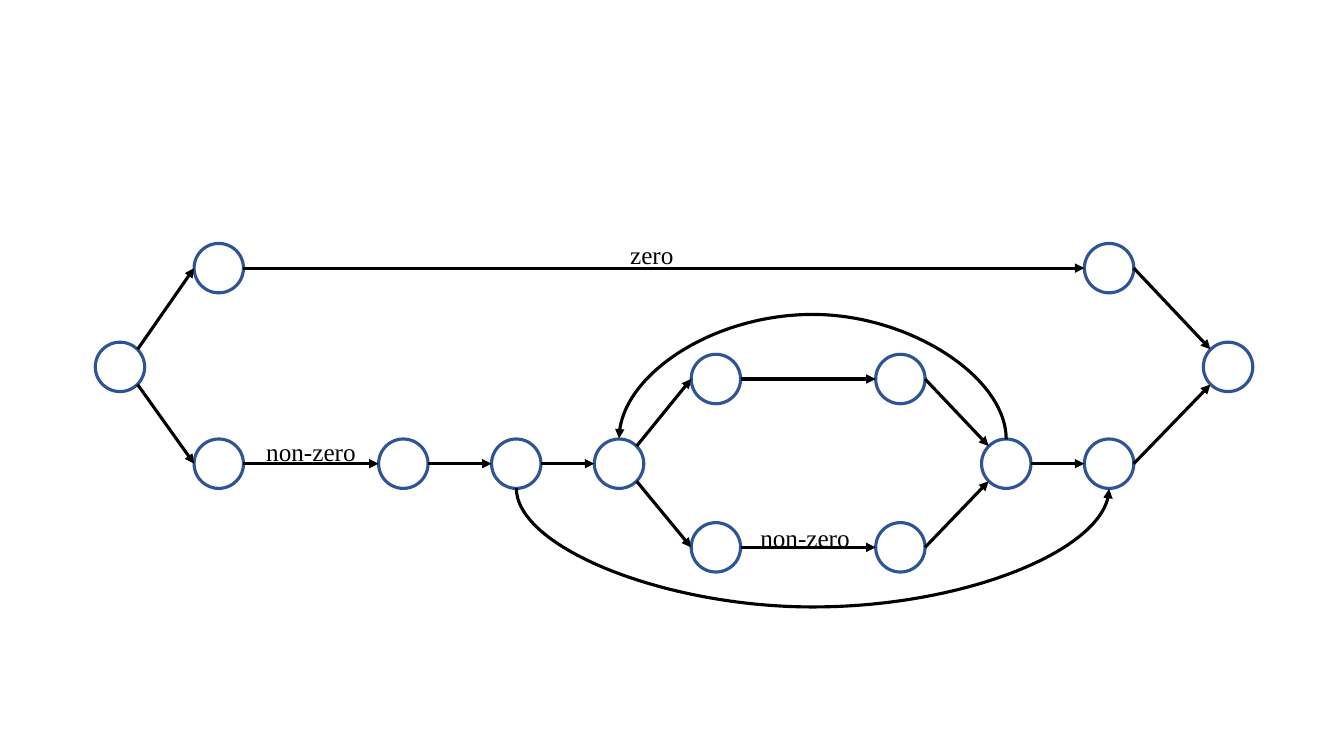
from lxml import etree
from pptx import Presentation
from pptx.dml.color import RGBColor
from pptx.enum.shapes import MSO_CONNECTOR, MSO_SHAPE
from pptx.enum.text import MSO_AUTO_SIZE, PP_ALIGN
from pptx.oxml.ns import qn
from pptx.util import Inches, Pt

STRAIGHT, CURVE = MSO_CONNECTOR.STRAIGHT, MSO_CONNECTOR.CURVE
OVAL = MSO_SHAPE.OVAL
CENTER = PP_ALIGN.CENTER
FIT_SHAPE = MSO_AUTO_SIZE.SHAPE_TO_FIT_TEXT

COLORS = {"fill": "FFFFFF", "outline": "2D5496", "ink": "000000"}
FONT = "Times New Roman"
LINE_WIDTH = 2.25
DIAMETER = 0.49
RADIUS = DIAMETER / 2
DIAGONAL = 0.175  # x and y offset of a point at 45 degrees on a node
SLIVER = 0.01  # thickness of the unrotated frame of a loop

# Centres of the automaton's states
STATES = {
    "start": (1.19, 3.64),
    "zero_in": (2.17, 2.66),
    "zero_out": (11.0, 2.66),
    "sign_in": (2.17, 4.6),
    "sign_out": (4.0, 4.6),
    "skip": (5.12, 4.6),
    "fork": (6.14, 4.6),
    "upper_in": (7.1, 3.76),
    "upper_out": (8.93, 3.76),
    "lower_in": (7.1, 5.43),
    "lower_out": (8.93, 5.43),
    "join": (9.98, 4.6),
    "digits_out": (11.0, 4.6),
    "accept": (12.18, 3.64),
}
FORKS = ("start", "fork")
JOINS = ("join", "accept")
STEPS = [
    ("start", "zero_in"), ("start", "sign_in"),
    ("zero_in", "zero_out"), ("zero_out", "accept"),
    ("sign_in", "sign_out"), ("sign_out", "skip"), ("skip", "fork"),
    ("fork", "upper_in"), ("fork", "lower_in"),
    ("upper_in", "upper_out"), ("lower_in", "lower_out"),
    ("upper_out", "join"), ("lower_out", "join"),
    ("join", "digits_out"), ("digits_out", "accept"),
]
LABELS = [("zero", 5.85, 2.33), ("non-zero", 7.37, 5.13), ("non-zero", 2.47, 4.28)]


def color(name):
    return RGBColor.from_string(COLORS[name])


def add_label(slide, wording, left, top):
    label = slide.shapes.add_textbox(Inches(left), Inches(top), Inches(1.23), Inches(0.4))
    frame = label.text_frame
    frame.word_wrap = True
    frame.auto_size = FIT_SHAPE
    frame.text = wording
    paragraph = frame.paragraphs[0]
    paragraph.alignment = CENTER
    font = paragraph.runs[0].font
    font.name = FONT
    font.size = Pt(18)
    font.color.rgb = color("ink")


def add_state(slide, x, y):
    state = slide.shapes.add_shape(
        OVAL, Inches(x - RADIUS), Inches(y - RADIUS), Inches(DIAMETER), Inches(DIAMETER))
    state.shadow.inherit = False
    state.fill.solid()
    state.fill.fore_color.rgb = color("fill")
    state.line.color.rgb = color("outline")
    state.line.width = Pt(LINE_WIDTH)


def add_arrow(slide, kind, begin, end):
    arrow = slide.shapes.add_connector(kind, *map(Inches, begin + end))
    arrow.line.color.rgb = color("ink")
    arrow.line.width = Pt(LINE_WIDTH)
    properties = arrow.element.spPr
    etree.SubElement(properties.find(qn("a:ln")), qn("a:tailEnd"), type="triangle")
    etree.SubElement(properties, qn("a:effectLst"))
    return arrow


def add_step(slide, source, target):
    """Join two states, meeting forks and joins at 45 degrees on sloping steps."""
    (x1, y1), (x2, y2) = STATES[source], STATES[target]
    slope = (y2 > y1) - (y2 < y1)
    begin, end = (x1 + RADIUS, y1), (x2 - RADIUS, y2)
    if slope and source in FORKS:
        begin = (x1 + DIAGONAL, y1 + slope * DIAGONAL)
    if slope and target in JOINS:
        end = (x2 - DIAGONAL, y2 - slope * DIAGONAL)
    add_arrow(slide, STRAIGHT, begin, end)


def add_loop(slide, source, target, depth):
    """Arch below the row for a forward jump, above it for a backward one."""
    (x1, y), (x2, _) = STATES[source], STATES[target]
    side = 1 if x2 > x1 else -1
    middle_x, middle_y = (x1 + x2) / 2, y + side * RADIUS
    reach, lean = (x1 - x2) / 2, side * SLIVER / 2
    arrow = add_arrow(slide, CURVE, (middle_x + lean, middle_y + reach),
                      (middle_x - lean, middle_y - reach))
    properties = arrow.element.spPr
    properties.find(qn("a:xfrm")).set("rot", str(270 * 60000))
    geometry = properties.find(qn("a:prstGeom"))
    adjustments = geometry.find(qn("a:avLst"))
    if adjustments is None:
        adjustments = etree.SubElement(geometry, qn("a:avLst"))
    bend = round(depth / SLIVER * 100000)
    etree.SubElement(adjustments, qn("a:gd"), name="adj1", fmla=f"val {bend}")


def main():
    prs = Presentation()
    prs.slide_width, prs.slide_height = Inches(13.33), Inches(7.5)
    slide = prs.slides.add_slide(prs.slide_layouts[6])
    for label in LABELS:
        add_label(slide, *label)
    for centre in STATES.values():
        add_state(slide, *centre)
    for step in STEPS:
        add_step(slide, *step)
    add_loop(slide, "skip", "digits_out", 1.2)
    add_loop(slide, "join", "fork", 1.26)
    prs.save("out.pptx")


if __name__ == "__main__":
    main()
